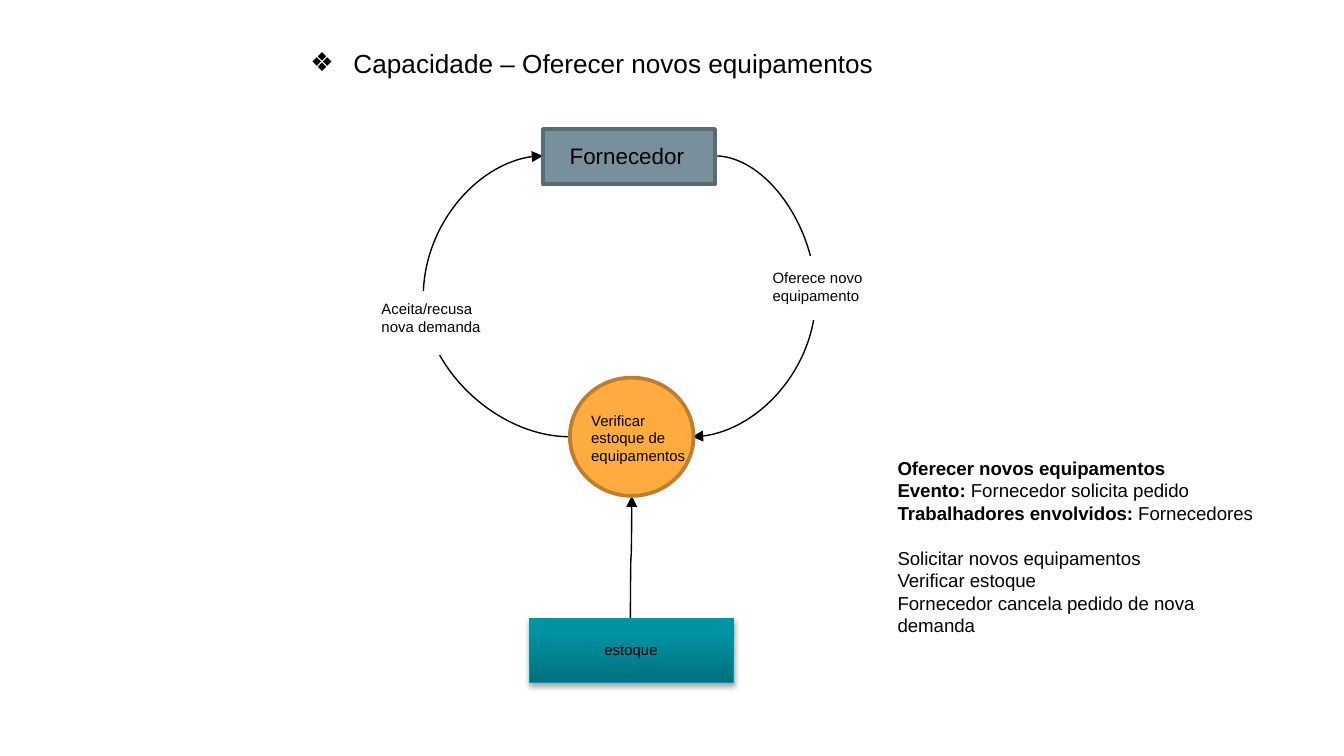
"""Build the supplier capability diagram slide."""
from lxml.etree import SubElement
from pptx import Presentation
from pptx.dml.color import RGBColor
from pptx.enum.shapes import MSO_CONNECTOR, MSO_SHAPE
from pptx.enum.text import MSO_ANCHOR, MSO_AUTO_SIZE, PP_ALIGN
from pptx.oxml.ns import qn
from pptx.util import Inches, Pt

COLORS = {
    "ink": "000000", "paper": "FFFFFF",
    "supplier": "78909C", "supplier_edge": "596B73",
    "check": "FFAB40", "check_edge": "BD7F2F",
    "stock_dark": "00717D", "stock_light": "0093A3",
}


def color(key):
    return RGBColor.from_string(COLORS[key])


def write(frame, paragraphs, size, align=PP_ALIGN.LEFT):
    frame.word_wrap = True
    frame.auto_size = MSO_AUTO_SIZE.NONE
    frame.vertical_anchor = MSO_ANCHOR.TOP
    for index, runs in enumerate(paragraphs):
        paragraph = frame.add_paragraph() if index else frame.paragraphs[0]
        paragraph.alignment = align
        for wording, bold in runs:
            run = paragraph.add_run()
            run.text = wording
            run.font.name = "Arial"
            run.font.size = Pt(size)
            run.font.bold = bold
            run.font.color.rgb = color("ink")


deck = Presentation()
deck.slide_width = Inches(10)
deck.slide_height = deck.slide_width * 9 // 16
slide = deck.slides.add_slide(deck.slide_layouts[5])
shapes = slide.shapes

title = shapes.title
title.left, title.top, title.width, title.height = map(Inches, (2.03, 0.3, 4.76, 0.6))
write(title.text_frame, [[("Capacidade – Oferecer novos equipamentos", False)]], 14)
title_format = title.text_frame.paragraphs[0]._p.get_or_add_pPr()
title_format.set("marL", str(Inches(0.5)))
title_format.set("indent", str(Inches(-0.32)))
SubElement(title_format, qn("a:buFont"), typeface="Arial")
SubElement(title_format, qn("a:buChar"), char="❖")

arc_top, arc_bottom = 1.16, 3.25
flows = [
    ((5.32, arc_top), (5.15, arc_bottom), 6.07, 0),
    ((4.24, arc_bottom), (4.04, arc_top), 3.15, 0),
    ((5.15, 4.15), (4.24, 4.14), 4.69, 90),
]
nodes = [
    (MSO_SHAPE.RECTANGLE, (4.04, 0.96, 1.28, 0.41), "supplier", "supplier_edge", 2),
    (MSO_SHAPE.RECTANGLE, (3.94, 4.6, 1.52, 0.48), "stock_light", "stock_light", 0.75),
    (MSO_SHAPE.OVAL, (4.24, 2.81, 0.92, 0.88), "check", "check_edge", 2),
    (MSO_SHAPE.RECTANGLE, (5.65, 1.92, 1.1, 0.45), "paper", "paper", 2),
    (MSO_SHAPE.RECTANGLE, (2.67, 2.18, 1.1, 0.45), "paper", "paper", 2),
]

for start, end, bend, turn in flows:
    flow = shapes.add_connector(MSO_CONNECTOR.CURVE, *map(Inches, start + end))
    flow.line.color.rgb = color("ink")
    flow.line.width = Pt(0.75)
    SubElement(flow.line._get_or_add_ln(), qn("a:tailEnd"), type="triangle")
    properties = flow._element.spPr
    SubElement(properties, qn("a:effectLst"))
    properties.find(qn("a:xfrm")).set("rot", str(turn * 60000))
    share = (bend - start[0]) / (end[0] - start[0])
    guides = properties.find(qn("a:prstGeom")).get_or_add_avLst()
    SubElement(guides, qn("a:gd"), name="adj1", fmla=f"val {round(share * 100000)}")

for outline, place, fill, edge, weight in nodes:
    node = shapes.add_shape(outline, *map(Inches, place))
    node.shadow.inherit = False
    node.line.color.rgb = color(edge)
    node.line.width = Pt(weight)
    if fill != "stock_light":
        node.fill.solid()
        node.fill.fore_color.rgb = color(fill)
        continue
    node.fill.gradient()
    node.fill.gradient_angle = 90
    for stop, position, shade in zip(node.fill.gradient_stops, (0, 0.8), ("stock_dark", fill)):
        stop.position = position
        stop.color.rgb = color(shade)
    effects = node._element.spPr.find(qn("a:effectLst"))
    shadow = SubElement(effects, qn("a:outerShdw"), blurRad=str(Pt(3.1)), dist=str(Pt(1.8)),
                        dir="5400000", rotWithShape="0")
    tint = SubElement(shadow, qn("a:srgbClr"), val=COLORS["ink"])
    SubElement(tint, qn("a:alpha"), val="35000")

description = [
    [("Oferecer novos equipamentos", True)],
    [("Evento: ", True), ("Fornecedor solicita pedido", False)],
    [("Trabalhadores envolvidos:", True), (" Fornecedores", False)],
    [("Solicitar novos equipamentos", False)],
    [("Verificar estoque", False)],
    [("Fornecedor cancela pedido de nova demanda", False)],
]
labels = [
    ((4.14, 1.01, 1.11, 0.3), [[("Fornecedor", False)]], 12, PP_ALIGN.LEFT),
    ((4.3, 4.72, 0.79, 0.24), [[("estoque", False)]], 8, PP_ALIGN.CENTER),
    ((5.65, 1.95, 0.93, 0.37), [[("Oferece novo equipamento", False)]], 8, PP_ALIGN.LEFT),
    ((2.74, 2.18, 1.03, 0.37), [[("Aceita/recusa nova demanda", False)]], 8, PP_ALIGN.LEFT),
    ((4.3, 3.01, 0.91, 0.68), [[("Verificar estoque de equipamentos", False)]], 8, PP_ALIGN.LEFT),
    ((6.58, 3.35, 3, 1.45), description, 10, PP_ALIGN.LEFT),
]
for place, paragraphs, size, align in labels:
    label = shapes.add_textbox(*map(Inches, place))
    write(label.text_frame, paragraphs, size, align)
label.text_frame.paragraphs[3].space_before = Pt(12)

deck.save("out.pptx")
